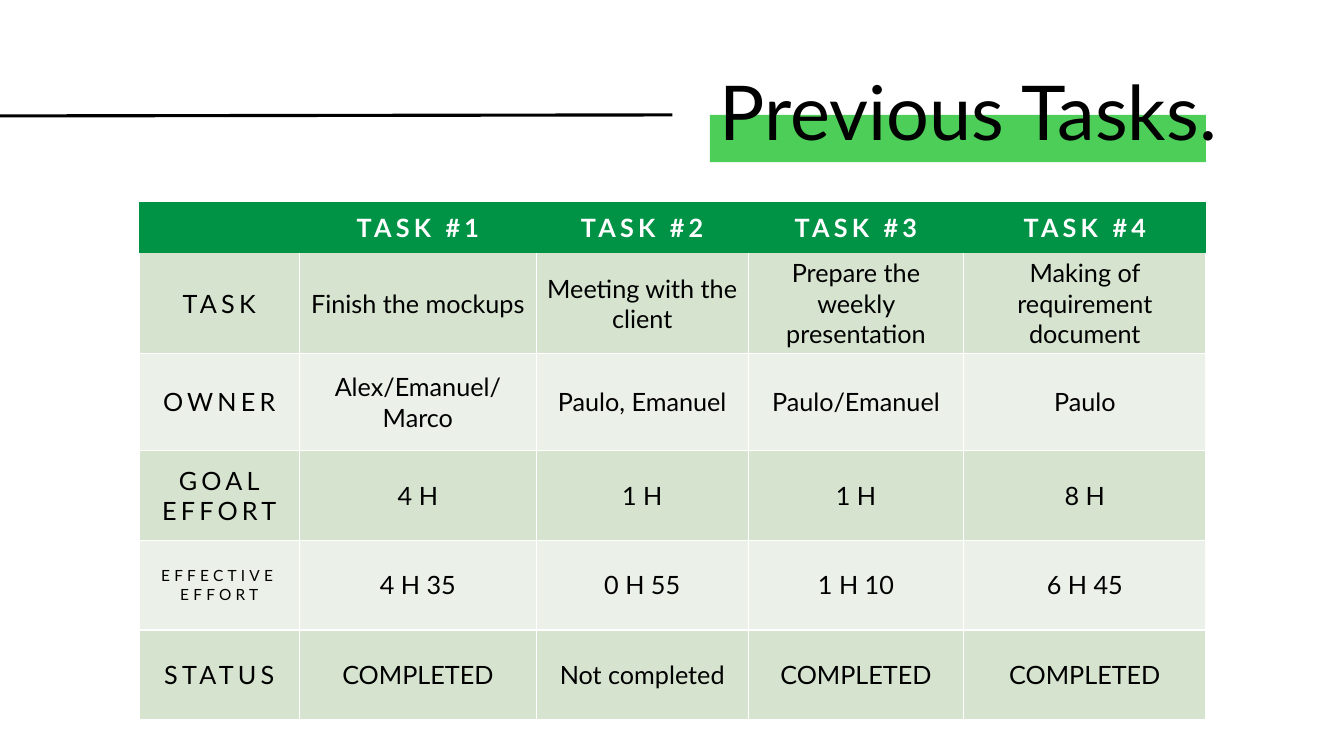
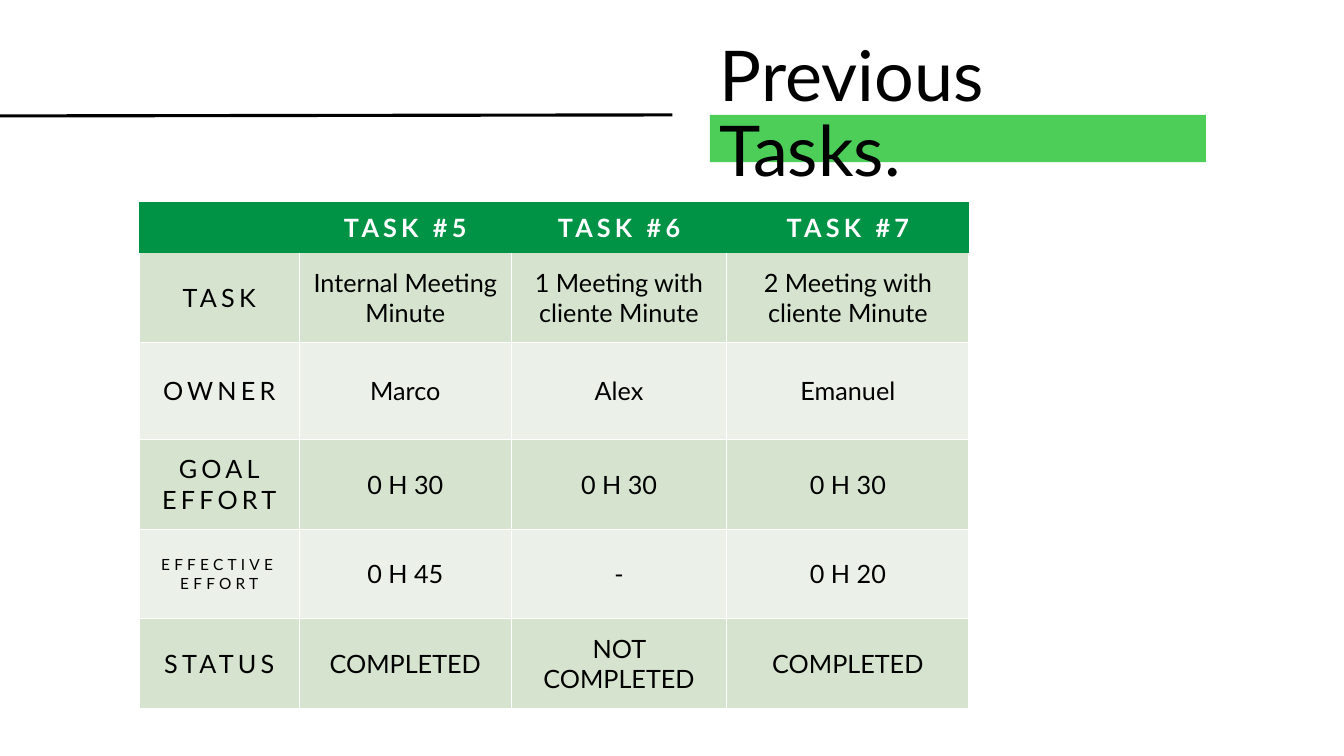
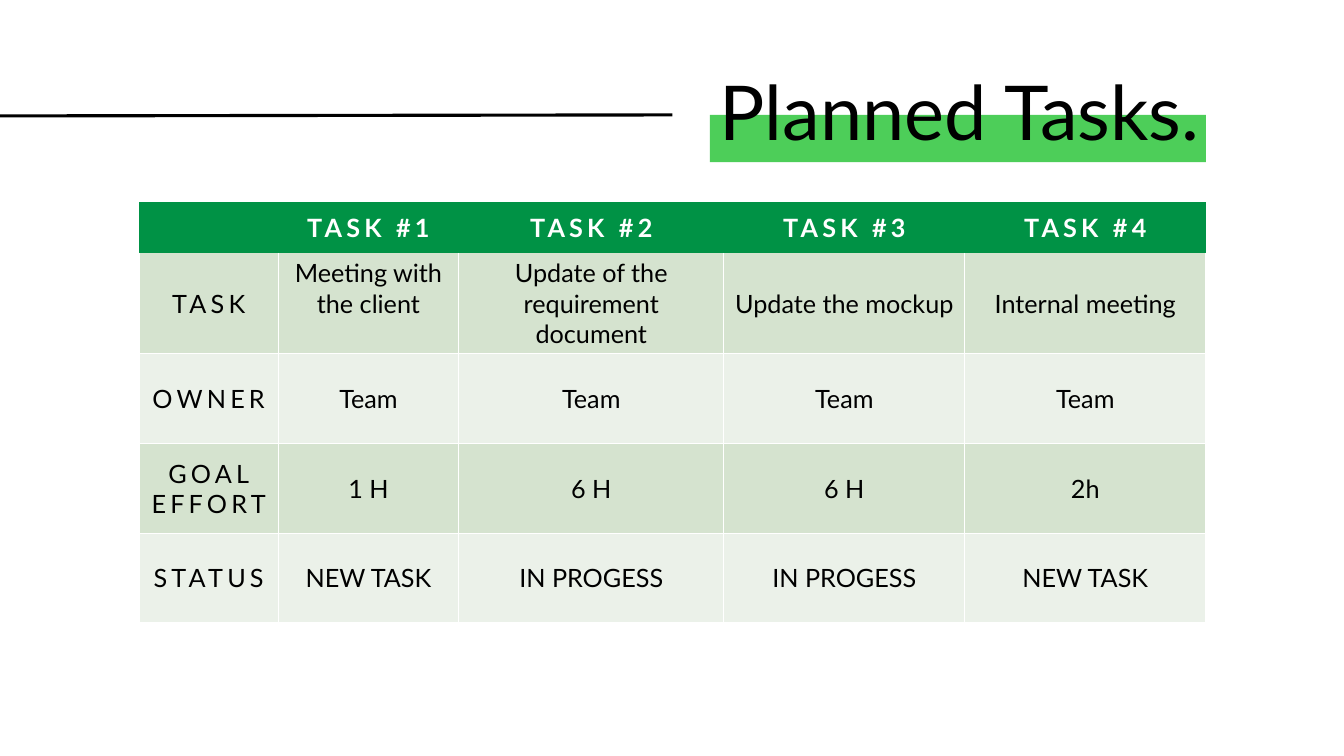
from lxml.etree import SubElement
from pptx import Presentation
from pptx.dml.color import RGBColor
from pptx.enum.shapes import MSO_CONNECTOR, MSO_SHAPE
from pptx.enum.text import MSO_ANCHOR, PP_ALIGN
from pptx.oxml.ns import qn
from pptx.util import Inches, Pt

FONT = "Lato"
BLACK, WHITE, LIME = "000000", "FFFFFF", "4DCE59"
HEAD, BANDS = "009245", ("D5E3CF", "EBF1E9")
LEFT, TOP = 1.38, 2
HIGH, ROW = 0.51, 0.89

PAST = [
    ["", "TASK #1", "TASK #2", "TASK #3", "TASK #4"],
    ["TASK", "Finish the mockups", "Meeting with the client",
     "Prepare the weekly presentation", "Making of requirement document"],
    ["OWNER", "Alex/Emanuel/\nMarco", "Paulo, Emanuel", "Paulo/Emanuel", "Paulo"],
    ["GOAL\nEFFORT", "4 H", "1 H", "1 H", "8 H"],
    ["EFFECTIVE EFFORT", "4 H 35", "0 H 55", "1 H 10", "6 H 45"],
    ["STATUS", "COMPLETED", "Not completed", "COMPLETED", "COMPLETED"],
]
MORE = [
    ["", "TASK #5", "TASK #6", "TASK #7"],
    ["TASK", "Internal Meeting Minute", "1 Meeting with cliente Minute",
     "2 Meeting with cliente Minute"],
    ["OWNER", "Marco", "Alex", "Emanuel"],
    ["GOAL\nEFFORT", "0 H 30", "0 H 30", "0 H 30"],
    ["EFFECTIVE EFFORT", "0 H 45", "-", "0 H 20"],
    ["STATUS", "COMPLETED", "NOT COMPLETED", "COMPLETED"],
]
NEXT = [
    ["", "TASK #1", "TASK #2", "TASK #3", "TASK #4"],
    ["TASK", "Meeting with the client", "Update of the requirement\ndocument",
     "Update the mockup", "Internal meeting"],
    ["OWNER", "Team", "Team", "Team", "Team"],
    ["GOAL\nEFFORT", "1 H", "6 H", "6 H", "2h"],
    ["STATUS", "NEW TASK", "IN PROGESS", "IN PROGESS", "NEW TASK"],
]


def tint(code):
    """Turn a hex string into a colour."""
    return RGBColor.from_string(code)


def paint(fill, code):
    """Make a fill solid in one colour."""
    fill.solid()
    fill.fore_color.rgb = tint(code)


def style(part, vals):
    """Set each attribute named in the dict."""
    for name, val in vals.items():
        setattr(part, name, val)


def write(frame, text, code, vals, para, gap=0):
    """Fill a text frame and format all of its runs."""
    frame.text = text
    for line in frame.paragraphs:
        style(line, para)
        for run in line.runs:
            style(run.font, {"name": FONT, **vals})
            run.font.color.rgb = tint(code)
            if gap:
                run.font._element.set("spc", str(gap * 100))


def edge(cell, row):
    """Draw the borders of a cell, none around the header."""
    props = cell._tc.get_or_add_tcPr()
    for side in "LRTB":
        line = SubElement(props, qn(f"a:ln{side}"), w=str(Pt(1)))
        if row == 0 or (row == 1 and side == "T"):
            SubElement(line, qn("a:noFill"))
        else:
            fill = SubElement(line, qn("a:solidFill"))
            SubElement(fill, qn("a:srgbClr"), val=WHITE)


def grid(slide, rows, cols, tall):
    """Add the task table with its header and bands."""
    highs = [HIGH] + [tall if row[0] == "OWNER" else ROW for row in rows[1:]]
    table = slide.shapes.add_table(
        len(rows), len(cols), Inches(LEFT), Inches(TOP),
        Inches(sum(cols)), Inches(sum(highs))).table
    for col, wide in zip(table.columns, cols):
        col.width = Inches(wide)
    for r, (row, high) in enumerate(zip(rows, highs)):
        table.rows[r].height = Inches(high)
        for c, text in enumerate(row):
            cell = table.cell(r, c)
            edge(cell, r)
            paint(cell.fill, BANDS[(r - 1) % 2] if r else HEAD)
            cell.vertical_anchor = MSO_ANCHOR.MIDDLE
            size = 11 if text.startswith("EFFECTIVE") else 18
            write(cell.text_frame, text, BLACK if r else WHITE,
                  {"size": Pt(size), "bold": r == 0},
                  {"alignment": PP_ALIGN.CENTER}, 3 if r == 0 or c == 0 else 0)
    return table


def rule(slide):
    """Draw the line that leads to the title."""
    line = slide.shapes.add_connector(
        MSO_CONNECTOR.STRAIGHT, Inches(0), Inches(1.15), Inches(6.67), Inches(1.14))
    line.line.color.rgb = tint(BLACK)
    line.line.width = Pt(2.25)
    SubElement(line._element.spPr, qn("a:effectLst"))


def title(slide, text, size, wide):
    """Add the title over its green bar."""
    bar = slide.shapes.add_shape(
        MSO_SHAPE.RECTANGLE, Inches(7.04), Inches(1.14), Inches(4.92), Inches(0.47))
    bar.shadow.inherit = False
    paint(bar.fill, LIME)
    bar.line.fill.background()
    box = slide.shapes.add_textbox(
        Inches(7.04), Inches(0.43), Inches(wide), Inches(1.45))
    style(box.text_frame, {"word_wrap": True, "vertical_anchor": MSO_ANCHOR.MIDDLE})
    write(box.text_frame, text, BLACK, {"size": Pt(size)}, {"line_spacing": 0.9})


def page(deck, text, rows, cols, size=54, wide=5.45, tall=ROW):
    """Add one slide of tasks and return its table."""
    slide = deck.slides.add_slide(deck.slide_layouts[6])
    table = grid(slide, rows, cols, tall)
    rule(slide)
    title(slide, text, size, wide)
    return table


def main():
    """Build and save the deck."""
    deck = Presentation()
    style(deck, {"slide_width": Inches(13.33), "slide_height": Inches(7.5)})
    page(deck, "Previous Tasks.", PAST, [1.59, 2.35, 2.1, 2.14, 2.4], tall=0.96)
    page(deck, "Previous Tasks.", MORE, [1.59, 2.1, 2.14, 2.4], 50, 4.73, 0.96)
    plan = page(deck, "Planned Tasks.", NEXT, [1.38, 1.79, 2.63, 2.39, 2.39])
    plan.cell(1, 1).margin_bottom = Inches(0.35)
    deck.save("out.pptx")


if __name__ == "__main__":
    main()
